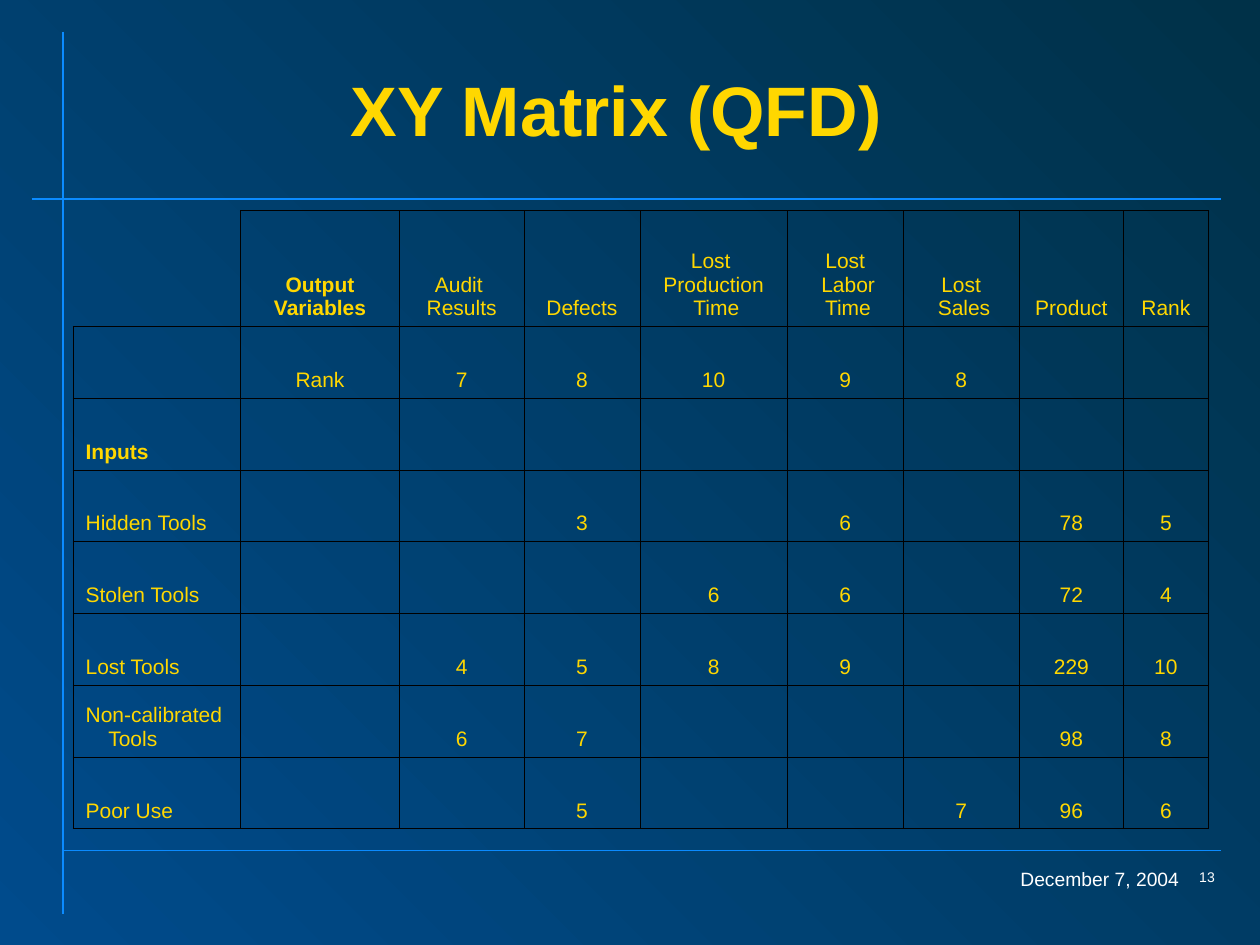
import pptx
import pptx.util
import pptx.dml.color
import pptx.enum.shapes
import pptx.enum.text
import pptx.oxml
import pptx.oxml.ns
from lxml import etree

Inches, Pt = pptx.util.Inches, pptx.util.Pt
RGB = pptx.dml.color.RGBColor
ALIGN = pptx.enum.text.PP_ALIGN
ANCHOR = pptx.enum.text.MSO_ANCHOR
QN = pptx.oxml.ns.qn

# Content
TITLE = "XY Matrix (QFD)"
DATE, PAGE = "December 7, 2004", "13"
GRID = [
    ["", "Output\nVariables", "Audit \nResults", "Defects", "Lost \nProduction\n Time",
     "Lost\n Labor\n Time", "Lost\n Sales", "Product", "Rank"],
    ["", "Rank", "7", "8", "10", "9", "8", "", ""],
    ["Inputs", "", "", "", "", "", "", "", ""],
    ["Hidden Tools", "", "", "3", "", "6", "", "78", "5"],
    ["Stolen Tools", "", "", "", "6", "6", "", "72", "4"],
    ["Lost Tools", "", "4", "5", "8", "9", "", "229", "10"],
    ["Non-calibrated\nTools", "", "6", "7", "", "", "", "98", "8"],
    ["Poor Use", "", "", "5", "", "", "7", "96", "6"],
]
BOLD = {(0, 1), (2, 0)}
COLS = [1.33, 1.26, 0.99, 0.92, 1.17, 0.92, 0.92, 0.83, 0.67]
ROWS = [0.92] + [0.57] * 7
RULES = [(0.5, 0.25, 0.5, 7.25), (0.51, 6.75, 9.69, 6.75), (0.25, 1.58, 9.69, 1.58)]

# Colours and formats
NIGHT, NAVY = RGB(0x00, 0x31, 0x48), RGB(0x00, 0x4B, 0x8C)
BLUE, GOLD = RGB(0x0B, 0x8B, 0xFF), RGB(0xFF, 0xD7, 0x00)
WHITE, BLACK = RGB(0xFF, 0xFF, 0xFF), RGB(0x00, 0x00, 0x00)
HEAD = {"size": Pt(40), "bold": True, "color": GOLD}
BODY = {"size": Pt(12), "bold": False, "color": GOLD}
NOTES = [
    (DATE, (8, 6.83, 1.5, 0.28), ALIGN.LEFT, {"size": Pt(11), "color": WHITE}),
    (PAGE, (9.33, 6.84, 0.41, 0.23), ALIGN.RIGHT, {"size": Pt(8), "color": WHITE}),
]
HANG, STEP = 0.38, 0.18
PLAIN = "{2D5ABB26-0587-4C30-8999-92F81FD0307C}"


def style(para, form, align):
    para.alignment = align
    para.font.name = "Arial"
    for key, val in form.items():
        if key == "color":
            para.font.color.rgb = val
        else:
            setattr(para.font, key, val)


def hang(para, first):
    """Indent later lines by HANG, and the first line by `first`."""
    props = para._p.get_or_add_pPr()
    props.set("marL", str(Inches(HANG)))
    props.set("indent", str(Inches(first - HANG)))


def border(cell, sides):
    props = cell._tc.get_or_add_tcPr()
    for spot, side in enumerate("LRTB"):
        line = etree.Element(QN("a:ln" + side), w=str(Pt(0.45)))
        if side in sides:
            fill = etree.SubElement(line, QN("a:solidFill"))
            etree.SubElement(fill, QN("a:srgbClr"), val=str(BLACK))
        else:
            etree.SubElement(line, QN("a:noFill"))
        props.insert(spot, line)


deck = pptx.Presentation()
deck.slide_width, deck.slide_height = Inches(10), Inches(7.5)
slide = deck.slides.add_slide(deck.slide_layouts[5])
shapes = slide.shapes

# Background, dark at the top right
fill = slide.background.fill
fill.gradient()
fill.gradient_angle = 225
for stop, tone in zip(fill.gradient_stops, (NIGHT, NAVY)):
    stop.color.rgb = tone
for stop, spot in zip(fill.gradient_stops, (0, 1)):
    stop.position = spot

# Rules
for rule in RULES:
    line = shapes.add_connector(pptx.enum.shapes.MSO_CONNECTOR.STRAIGHT,
                                *map(Inches, rule))
    line.line.color.rgb = BLUE
    line.line.width = Pt(1)
    etree.SubElement(line._element.spPr, QN("a:effectLst"))

# Title
title = shapes.title
title.left, title.top, title.width, title.height = map(Inches, (0.64, 0.33, 8.5, 1.25))
frame = title.text_frame
frame.text = TITLE
frame.auto_size = pptx.enum.text.MSO_AUTO_SIZE.NONE
frame.vertical_anchor = ANCHOR.MIDDLE
frame.paragraphs[0].line_spacing = Pt(34)
style(frame.paragraphs[0], HEAD, ALIGN.CENTER)

# Date and page number
for text, place, align, form in NOTES:
    frame = shapes.add_textbox(*map(Inches, place)).text_frame
    frame.word_wrap = True
    frame.text = text
    style(frame.paragraphs[0], form, align)

# Matrix
table = shapes.add_table(len(ROWS), len(COLS), Inches(0.58), Inches(1.67),
                         Inches(sum(COLS)), Inches(sum(ROWS))).table
table.first_row = table.horz_banding = False
table._tbl.tblPr.find(QN("a:tableStyleId")).text = PLAIN
for col, wide in zip(table.columns, COLS):
    col.width = Inches(wide)
for row, high in zip(table.rows, ROWS):
    row.height = Inches(high)

for r, row in enumerate(GRID):
    for c, text in enumerate(row):
        cell = table.cell(r, c)
        cell.fill.background()
        border(cell, "LRTB" if r or c else "RB")
        cell.vertical_anchor = ANCHOR.BOTTOM
        cell.text = text
        form = {**BODY, "bold": (r, c) in BOLD}
        for n, para in enumerate(cell.text_frame.paragraphs):
            hang(para, STEP if n and not c else 0)
            style(para, form, ALIGN.CENTER if c else ALIGN.LEFT)

deck.save("out.pptx")
